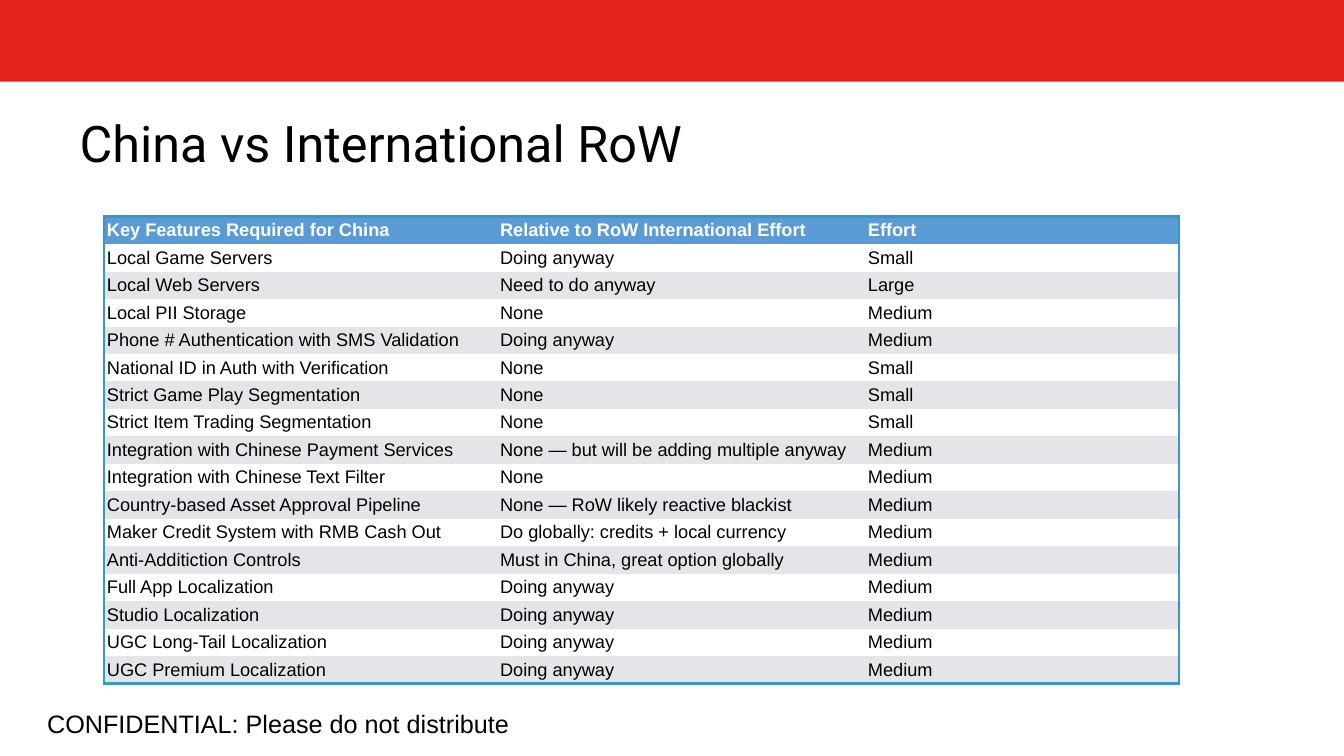
from dataclasses import dataclass

from lxml.etree import SubElement
from pptx import Presentation
from pptx.dml.color import RGBColor as Color
from pptx.enum.shapes import MSO_SHAPE as Shape
from pptx.enum.text import MSO_ANCHOR as Anchor, MSO_AUTO_SIZE as AutoSize, PP_ALIGN as Align
from pptx.oxml.ns import qn
from pptx.util import Pt

TITLE = "China vs International RoW"
NOTICE = "CONFIDENTIAL: Please do not distribute"
HEADINGS = ("Key Features Required for China", "Relative to RoW International Effort", "Effort")
FEATURES = [
    ("Local Game Servers", "Doing anyway", "Small"),
    ("Local Web Servers", "Need to do anyway", "Large"),
    ("Local PII Storage", "None", "Medium"),
    ("Phone # Authentication with SMS Validation", "Doing anyway", "Medium"),
    ("National ID in Auth with Verification", "None", "Small"),
    ("Strict Game Play Segmentation", "None", "Small"),
    ("Strict Item Trading Segmentation", "None", "Small"),
    ("Integration with Chinese Payment Services", "None — but will be adding multiple anyway", "Medium"),
    ("Integration with Chinese Text Filter", "None", "Medium"),
    ("Country-based Asset Approval Pipeline", "None — RoW likely reactive blackist", "Medium"),
    ("Maker Credit System with RMB Cash Out", "Do globally: credits + local currency", "Medium"),
    ("Anti-Additiction Controls", "Must in China, great option globally", "Medium"),
    ("Full App Localization", "Doing anyway", "Medium"),
    ("Studio Localization", "Doing anyway", "Medium"),
    ("UGC Long-Tail Localization", "Doing anyway", "Medium"),
    ("UGC Premium Localization", "Doing anyway", "Medium"),
]


@dataclass(frozen=True)
class Theme:
    banner: str = "E2221B"
    header: str = "5B9BD5"
    border: str = "3797C6"
    bands: tuple = ("FFFFFF", "E3E5E8")
    ink: str = "000000"
    header_ink: str = "FFFFFF"
    title_font: str = "Roboto"
    body_font: str = "Arial"
    title_size: float = 36
    notice_size: float = 18
    cell_size: float = 13
    border_width: float = 2


THEME = Theme()
PAGE_WIDTH, PAGE_HEIGHT = 960, 540
BANNER_HEIGHT = 58.3
TABLE_LEFT, TABLE_TOP = 74.2, 154.8
COLUMN_WIDTHS = (280.8, 262.8, 224.4)
ROW_HEIGHT = 19.64
CELL_INSET = 2.2
NO_STYLE = "{2D5ABB26-0587-4C30-8999-92F81FD0307C}"


def write(frame, text, *, size, font=THEME.body_font, color=THEME.ink, bold=False):
    para = frame.paragraphs[0]
    para.alignment = Align.LEFT
    span = para.add_run()
    span.text = text
    span.font.name = font
    span.font.size = Pt(size)
    span.font.bold = bold
    span.font.color.rgb = Color.from_string(color)


def set_insets(target, inset):
    target.margin_left = target.margin_right = Pt(inset)
    target.margin_top = target.margin_bottom = Pt(inset)


def add_border(cell, side):
    line = SubElement(cell._tc.get_or_add_tcPr(), qn(f"a:ln{side}"), w=str(Pt(THEME.border_width)))
    fill = SubElement(line, qn("a:solidFill"))
    SubElement(fill, qn("a:srgbClr"), val=THEME.border)


def add_banner(page):
    banner = page.shapes.add_shape(Shape.RECTANGLE, 0, 0, Pt(PAGE_WIDTH), Pt(BANNER_HEIGHT))
    banner.shadow.inherit = False
    banner.fill.solid()
    banner.fill.fore_color.rgb = Color.from_string(THEME.banner)
    banner.line.fill.background()


def add_title(page):
    title = page.shapes.title
    title.left, title.top, title.width, title.height = Pt(54.7), Pt(82), Pt(850.3), Pt(39.6)
    frame = title.text_frame
    frame.auto_size = AutoSize.NONE
    frame.vertical_anchor = Anchor.MIDDLE
    set_insets(frame, CELL_INSET)
    write(frame, TITLE, size=THEME.title_size, font=THEME.title_font)


def add_feature_table(page):
    rows = [HEADINGS, *FEATURES]
    last_row, last_column = len(rows) - 1, len(HEADINGS) - 1
    holder = page.shapes.add_table(
        len(rows), len(HEADINGS), Pt(TABLE_LEFT), Pt(TABLE_TOP),
        Pt(sum(COLUMN_WIDTHS)), Pt(ROW_HEIGHT * len(rows)),
    )
    table = holder.table
    table.horz_banding = False
    table._tbl.tblPr.find(qn("a:tableStyleId")).text = NO_STYLE
    for column, width in zip(table.columns, COLUMN_WIDTHS):
        column.width = Pt(width)
    for row_index, texts in enumerate(rows):
        table.rows[row_index].height = Pt(ROW_HEIGHT)
        heading = row_index == 0
        band = THEME.header if heading else THEME.bands[(row_index - 1) % 2]
        for column_index, text in enumerate(texts):
            cell = table.cell(row_index, column_index)
            set_insets(cell, CELL_INSET)
            cell.vertical_anchor = Anchor.MIDDLE
            edges = {
                "L": column_index == 0,
                "R": column_index == last_column,
                "T": heading,
                "B": row_index == last_row,
            }
            for side, outer in edges.items():
                if outer:
                    add_border(cell, side)
            cell.fill.solid()
            cell.fill.fore_color.rgb = Color.from_string(band)
            ink = THEME.header_ink if heading else THEME.ink
            write(cell.text_frame, text, size=THEME.cell_size, color=ink, bold=heading)


def add_notice(page):
    box = page.shapes.add_textbox(Pt(26.6), Pt(499), Pt(532.8), Pt(62))
    frame = box.text_frame
    frame.word_wrap = True
    set_insets(frame, 7.2)
    write(frame, NOTICE, size=THEME.notice_size)


def main():
    deck = Presentation()
    deck.slide_width, deck.slide_height = Pt(PAGE_WIDTH), Pt(PAGE_HEIGHT)
    page = deck.slides.add_slide(deck.slide_layouts.get_by_name("Title Only"))
    add_banner(page)
    add_title(page)
    add_feature_table(page)
    add_notice(page)
    deck.save("out.pptx")


if __name__ == "__main__":
    main()
